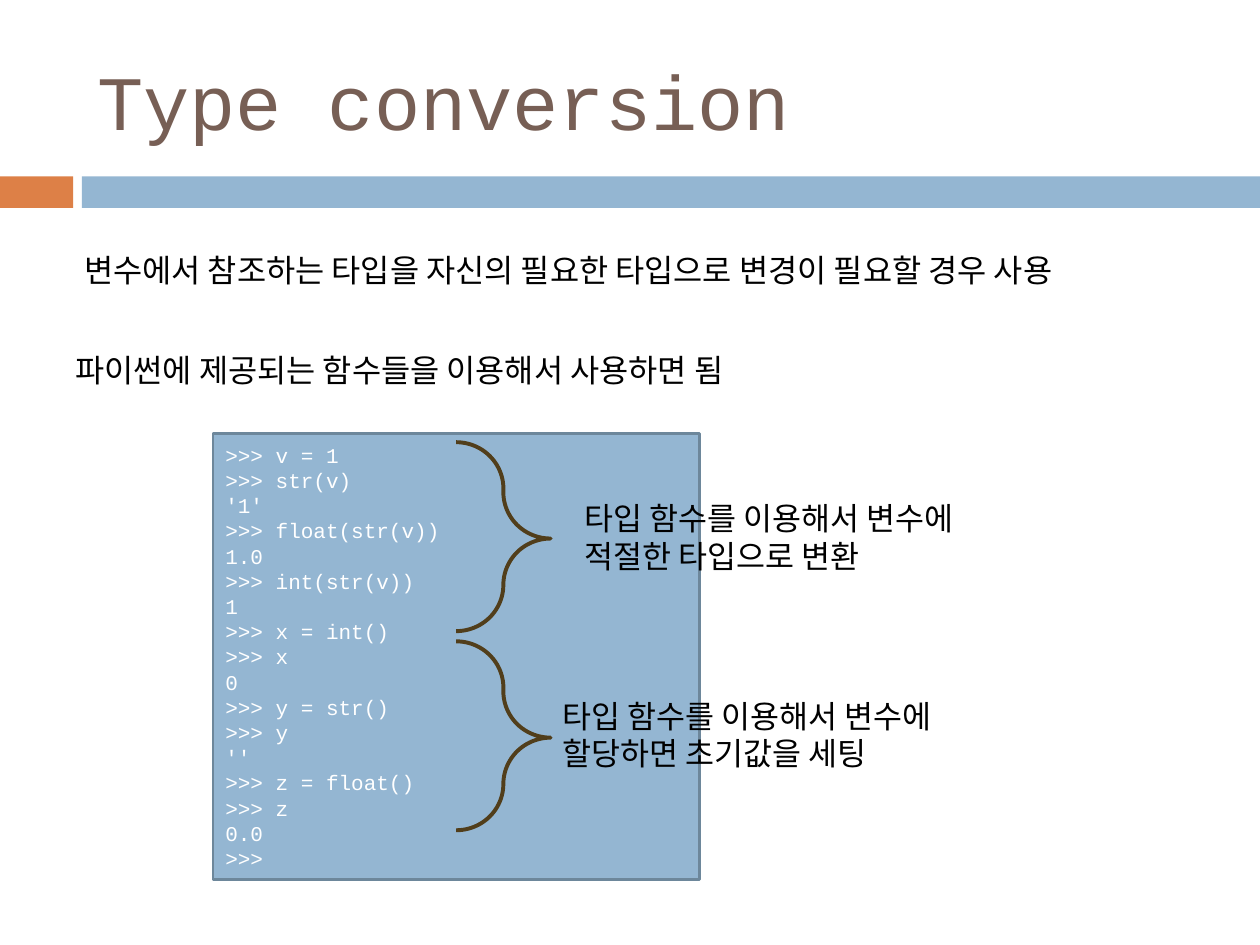
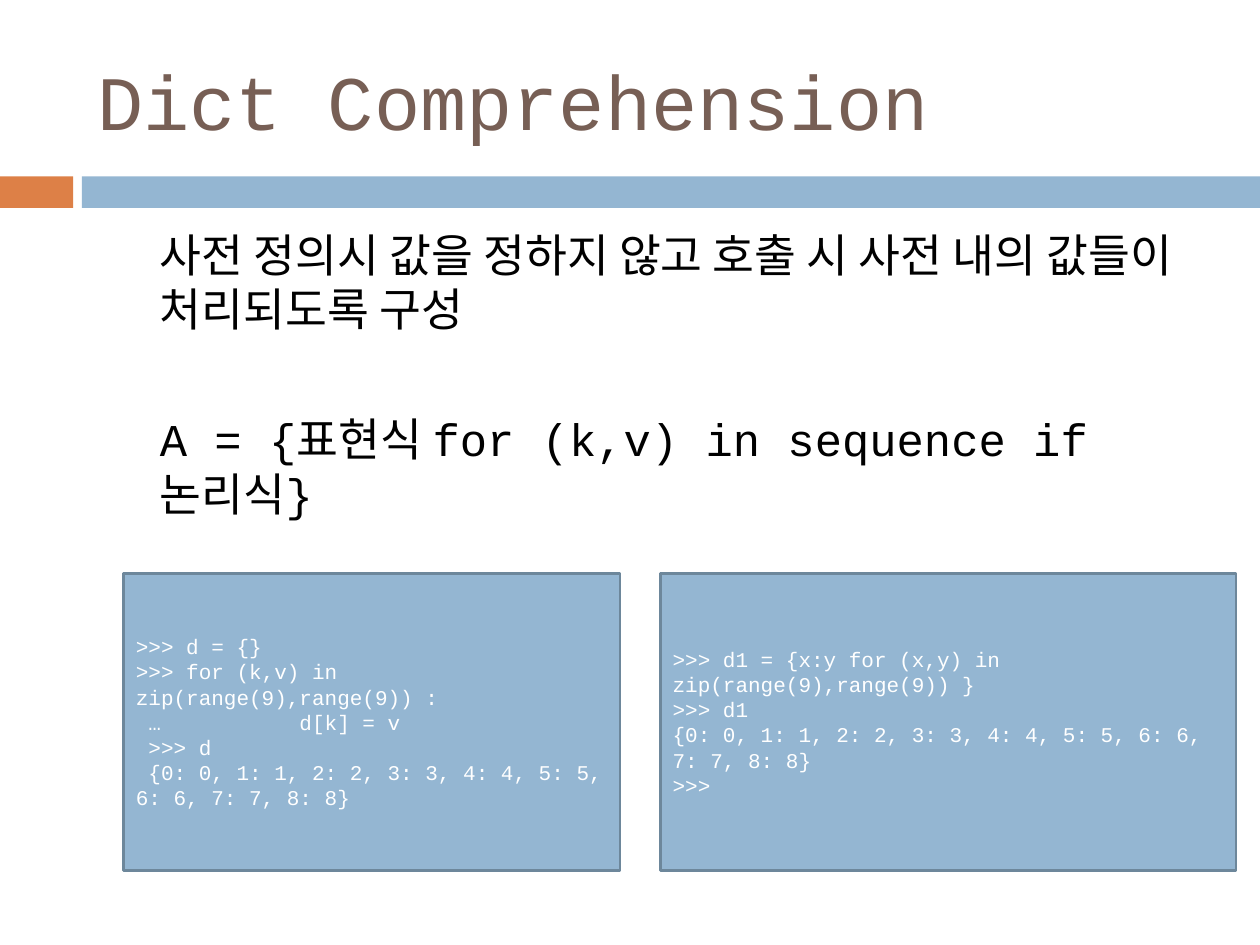
from dataclasses import dataclass

from pptx import Presentation
from pptx.dml.color import RGBColor
from pptx.enum.shapes import MSO_SHAPE
from pptx.enum.text import MSO_ANCHOR, MSO_AUTO_SIZE, PP_ALIGN
from pptx.presentation import Presentation as Deck
from pptx.shapes.autoshape import Shape
from pptx.slide import Slide
from pptx.text.text import TextFrame
from pptx.util import Inches, Pt

FONT = "Courier New"
ORANGE, BLUE, BLUE_EDGE = "DD8047", "94B6D2", "6D879B"
TITLE_BROWN, BRACE_BROWN = "775F55", "513E1B"
BLACK, WHITE = "000000", "FFFFFF"
TITLE_ONLY = 5


@dataclass(frozen=True)
class Box:
    left: float
    top: float
    width: float
    height: float

    def lengths(self) -> tuple[Inches, Inches, Inches, Inches]:
        return (Inches(self.left), Inches(self.top),
                Inches(self.width), Inches(self.height))


@dataclass(frozen=True)
class Prose:
    """Plain text; gap is the space in points between paragraphs."""
    box: Box
    paragraphs: tuple[str, ...]
    size: float = 18
    gap: float = 0
    indents: tuple[float, ...] = (0, 0)


@dataclass(frozen=True)
class Code:
    box: Box
    listing: str


TITLE_BOX = Box(0.67, 0.25, 8.92, 1.08)
BANDS = ((Box(0, 1.4, 0.58, 0.25), ORANGE), (Box(0.65, 1.4, 9.35, 0.25), BLUE))

CONVERSION_CODE = """>>> v = 1
>>> str(v)
'1'
>>> float(str(v))
1.0
>>> int(str(v))
1
>>> x = int()
>>> x
0
>>> y = str()
>>> y
''
>>> z = float()
>>> z
0.0
>>>"""

LOOP_CODE = """>>> d = {}
>>> for (k,v) in zip(range(9),range(9)) :
 …           d[k] = v
 >>> d
 {0: 0, 1: 1, 2: 2, 3: 3, 4: 4, 5: 5, 6: 6, 7: 7, 8: 8}"""

COMPREHENSION_CODE = """>>> d1 = {x:y for (x,y) in zip(range(9),range(9)) }
>>> d1
{0: 0, 1: 1, 2: 2, 3: 3, 4: 4, 5: 5, 6: 6, 7: 7, 8: 8}
>>>"""


def color(value: str) -> RGBColor:
    return RGBColor.from_string(value)


def format_text(frame: TextFrame, size: float, text_color: str) -> None:
    frame.word_wrap = True
    for paragraph in frame.paragraphs:
        paragraph.alignment = PP_ALIGN.LEFT
        for run in paragraph.runs:
            run.font.name = FONT
            run.font.size = Pt(size)
            run.font.color.rgb = color(text_color)


def add_rectangle(slide: Slide, box: Box, fill: str) -> Shape:
    rectangle = slide.shapes.add_shape(MSO_SHAPE.RECTANGLE, *box.lengths())
    rectangle.shadow.inherit = False
    rectangle.fill.solid()
    rectangle.fill.fore_color.rgb = color(fill)
    rectangle.line.fill.background()
    return rectangle


def outline(shape: Shape, line_color: str, width: float) -> None:
    shape.line.color.rgb = color(line_color)
    shape.line.width = Pt(width)


def add_titled_slide(deck: Deck, heading: str) -> Slide:
    slide = deck.slides.add_slide(deck.slide_layouts[TITLE_ONLY])
    for band, fill in BANDS:
        add_rectangle(slide, band, fill)
    title = slide.shapes.title
    title.left, title.top, title.width, title.height = TITLE_BOX.lengths()
    frame = title.text_frame
    frame.text = heading
    frame.auto_size = MSO_AUTO_SIZE.NONE
    frame.vertical_anchor = MSO_ANCHOR.MIDDLE
    format_text(frame, 44, TITLE_BROWN)
    return slide


def add_prose(slide: Slide, prose: Prose) -> None:
    frame = slide.shapes.add_textbox(*prose.box.lengths()).text_frame
    frame.text = "\n".join(prose.paragraphs)
    for paragraph, indent in zip(frame.paragraphs, prose.indents):
        paragraph._p.get_or_add_pPr().set("marL", str(Inches(indent)))
    for paragraph in frame.paragraphs[1:]:
        paragraph.space_before = Pt(prose.gap)
    format_text(frame, prose.size, BLACK)


def add_code(slide: Slide, code: Code) -> None:
    panel = add_rectangle(slide, code.box, BLUE)
    outline(panel, BLUE_EDGE, 1.5)
    frame = panel.text_frame
    frame.text = code.listing
    frame.vertical_anchor = MSO_ANCHOR.MIDDLE
    format_text(frame, 12, WHITE)


def add_brace(slide: Slide, box: Box) -> None:
    brace = slide.shapes.add_shape(MSO_SHAPE.RIGHT_BRACE, *box.lengths())
    brace.shadow.inherit = False
    brace.fill.background()
    brace.adjustments[0], brace.adjustments[1] = 0.68, 0.51
    outline(brace, BRACE_BROWN, 2.25)


def build_type_conversion(deck: Deck) -> None:
    slide = add_titled_slide(deck, "Type conversion")
    add_prose(slide, Prose(
        Box(0.5, 1.94, 9, 1.14),
        ("변수에서 참조하는 타입을 자신의 필요한 타입으로 변경이 필요할 경우 사용",
         "파이썬에 제공되는 함수들을 이용해서 사용하면 됨"),
        size=18.1, gap=35.5, indents=(0.07, 0)))
    add_code(slide, Code(Box(1.69, 3.44, 3.86, 3.54), CONVERSION_CODE))
    remarks = (
        (3.51, Box(4.54, 3.91, 3.86, 0.71),
         "타입 함수를 이용해서 변수에 적절한 타입으로 변환"),
        (5.09, Box(4.37, 5.48, 3.86, 0.71),
         "타입 함수를 이용해서 변수에 할당하면 초기값을 세팅"),
    )
    for brace_top, remark_box, remark in remarks:
        add_brace(slide, Box(3.62, brace_top, 0.75, 1.5))
        add_prose(slide, Prose(remark_box, (remark,)))


def build_dict_comprehension(deck: Deck) -> None:
    slide = add_titled_slide(deck, "Dict Comprehension")
    add_prose(slide, Prose(
        Box(0.67, 1.75, 8.92, 2.55),
        ("사전 정의시 값을 정하지 않고 호출 시 사전 내의 값들이 처리되도록 구성",
         "A = {표현식 for (k,v) in sequence if 논리식}"),
        size=26, gap=43, indents=(0.5, 0.5)))
    add_code(slide, Code(Box(0.98, 4.55, 3.94, 2.36), LOOP_CODE))
    add_code(slide, Code(Box(5.24, 4.55, 4.57, 2.36), COMPREHENSION_CODE))


def main() -> None:
    deck = Presentation()
    deck.slide_width, deck.slide_height = Inches(10), Inches(7.5)
    build_type_conversion(deck)
    build_dict_comprehension(deck)
    deck.save("out.pptx")


if __name__ == "__main__":
    main()
